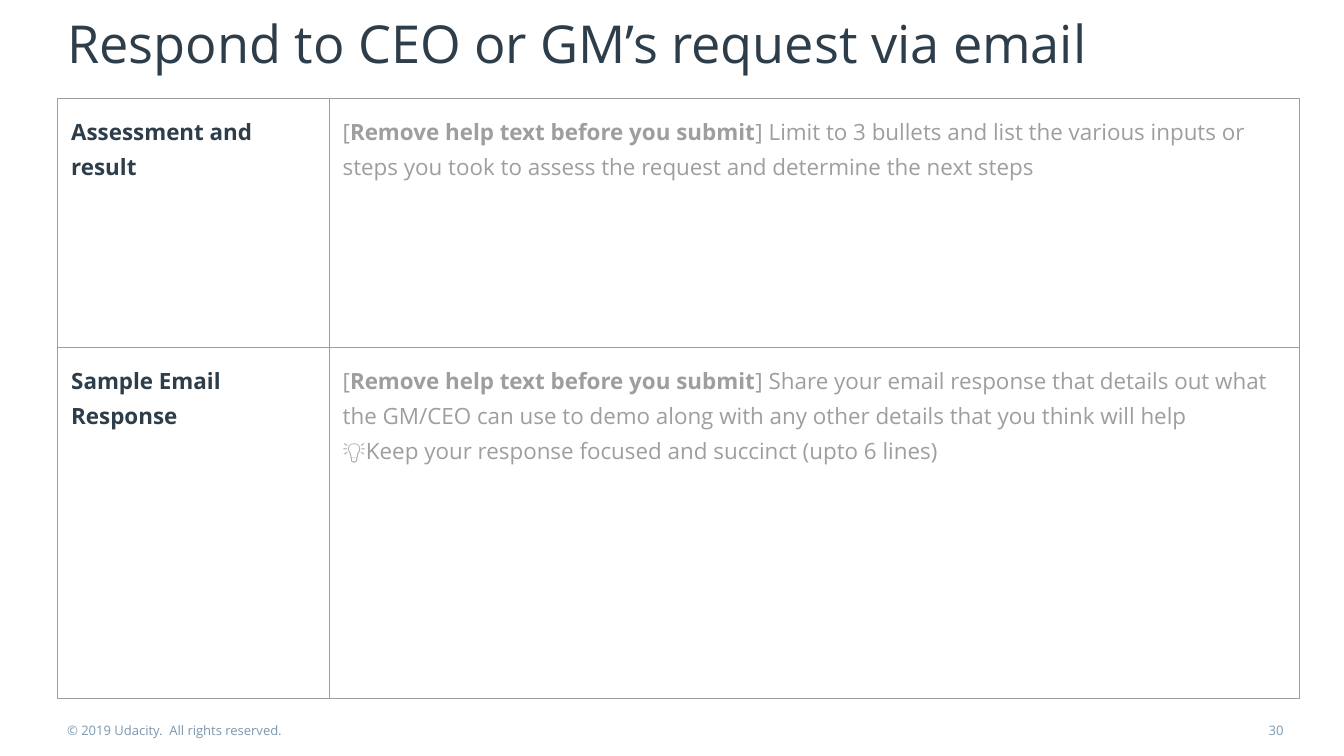
import dataclasses

import pptx
import pptx.dml.color
import pptx.enum.text
import pptx.oxml
import pptx.oxml.ns
import pptx.util

SLIDE_WIDTH = pptx.util.Inches(10)
SLIDE_HEIGHT = SLIDE_WIDTH * 9 // 16
FONT = "Open Sans"
NAVY, GREY, STEEL = "2D3D4A", "9E9E9E", "7D97AD"
LEFT = pptx.enum.text.PP_ALIGN.LEFT
CENTER = pptx.enum.text.PP_ALIGN.CENTER
HELP_MARK = "Remove help text before you submit"


@dataclasses.dataclass(frozen=True)
class Area:
    """Place on the slide, in percent of its width and height."""
    left: float
    top: float
    width: float
    height: float


@dataclasses.dataclass(frozen=True)
class Section:
    """Table row with its height in percent, label and help lines."""
    height: float
    label: str
    help_text: str
    tip: str = ""


TITLE_AREA = Area(5, 1.42, 90, 11.56)
COPYRIGHT_AREA = Area(5, 95.55, 43.3, 2.13)
NUMBER_AREA = Area(94.4, 95.55, 1.1, 2.13)
TABLE_LEFT, TABLE_TOP = 4.3, 13.04
COLUMN_WIDTHS = (20.2, 72.2)
SECTIONS = (
    Section(
        32.95,
        "Assessment and result",
        "Limit to 3 bullets and list the various inputs or steps you took "
        "to assess the request and determine the next steps",
    ),
    Section(
        46.4,
        "Sample Email Response",
        "Share your email response that details out what the GM/CEO can use "
        "to demo along with any other details that you think will help",
        "💡Keep your response focused and succinct (upto 6 lines)",
    ),
)


def across(percent: float) -> int:
    """Turn a share of the slide width into a length."""
    return round(SLIDE_WIDTH * percent / 100)


def down(percent: float) -> int:
    """Turn a share of the slide height into a length."""
    return round(SLIDE_HEIGHT * percent / 100)


def bounds(area: Area) -> tuple[int, int, int, int]:
    """Return left, top, width and height as lengths."""
    return across(area.left), down(area.top), across(area.width), down(area.height)


def color(value: str) -> pptx.dml.color.RGBColor:
    """Turn a hex string into a colour."""
    return pptx.dml.color.RGBColor.from_string(value)


def write(para, text: str, *, size: float, ink: str, bold: bool = False,
          align=LEFT, spacing: float = 1.0) -> None:
    """Add a formatted span to a paragraph."""
    para.alignment = align
    para.line_spacing = spacing
    span = para.add_run()
    span.text = text
    span.font.name = FONT
    span.font.size = pptx.util.Pt(size)
    span.font.bold = bold
    span.font.color.rgb = color(ink)


def prepare_frame(frame, wrap: bool) -> None:
    """Give a text frame no margins, top anchoring and its wrapping."""
    frame.margin_left = frame.margin_right = frame.margin_top = frame.margin_bottom = 0
    frame.vertical_anchor = pptx.enum.text.MSO_ANCHOR.TOP
    frame.auto_size = pptx.enum.text.MSO_AUTO_SIZE.NONE
    frame.word_wrap = wrap


def add_label(page, area: Area, text: str, align=LEFT) -> None:
    """Add a small footer text on a single line."""
    box = page.shapes.add_textbox(*bounds(area))
    prepare_frame(box.text_frame, wrap=False)
    write(box.text_frame.paragraphs[0], text, size=7, ink=STEEL, align=align)


def prepare_cell(cell) -> None:
    """Clear a cell's fill, set its margins and draw its four borders."""
    cell.fill.background()
    margin = pptx.util.Inches(0.1)
    cell.margin_left = cell.margin_right = cell.margin_top = cell.margin_bottom = margin
    properties = cell._tc.get_or_add_tcPr()
    for index, side in enumerate("LRTB"):
        border = pptx.oxml.parse_xml(
            f'<a:ln{side} {pptx.oxml.ns.nsdecls("a")} w="{pptx.util.Pt(0.75)}">'
            f'<a:solidFill><a:srgbClr val="{GREY}"/></a:solidFill></a:ln{side}>'
        )
        properties.insert(index, border)


def add_response_table(page) -> None:
    """Add the table of sections with labels and help text."""
    area = Area(TABLE_LEFT, TABLE_TOP, sum(COLUMN_WIDTHS),
                sum(section.height for section in SECTIONS))
    table = page.shapes.add_table(
        len(SECTIONS), len(COLUMN_WIDTHS), *bounds(area)).table
    table.first_row = table.horz_banding = False
    for column, width in zip(table.columns, COLUMN_WIDTHS):
        column.width = across(width)
    for row, section in zip(table.rows, SECTIONS):
        row.height = down(section.height)
        label_cell, help_cell = row.cells
        prepare_cell(label_cell)
        prepare_cell(help_cell)
        write(label_cell.text_frame.paragraphs[0], section.label,
              size=12, ink=NAVY, bold=True, spacing=1.15)
        para = help_cell.text_frame.paragraphs[0]
        for text, bold in (("[", False), (HELP_MARK, True),
                           (f"] {section.help_text}", False)):
            write(para, text, size=12, ink=GREY, bold=bold, spacing=1.15)
        if section.tip:
            write(help_cell.text_frame.add_paragraph(), section.tip,
                  size=12, ink=GREY, spacing=1.15)


def main() -> None:
    """Build the slide and save it."""
    deck = pptx.Presentation()
    deck.slide_width, deck.slide_height = SLIDE_WIDTH, SLIDE_HEIGHT
    page = deck.slides.add_slide(deck.slide_layouts.get_by_name("Title Only"))
    title = page.shapes.title
    title.left, title.top, title.width, title.height = bounds(TITLE_AREA)
    prepare_frame(title.text_frame, wrap=True)
    write(title.text_frame.paragraphs[0],
          "Respond to CEO or GM’s request via email", size=28, ink=NAVY)
    add_label(page, COPYRIGHT_AREA, "© 2019 Udacity.  All rights reserved.")
    add_label(page, NUMBER_AREA, "30", CENTER)
    add_response_table(page)
    deck.save("out.pptx")


if __name__ == "__main__":
    main()
